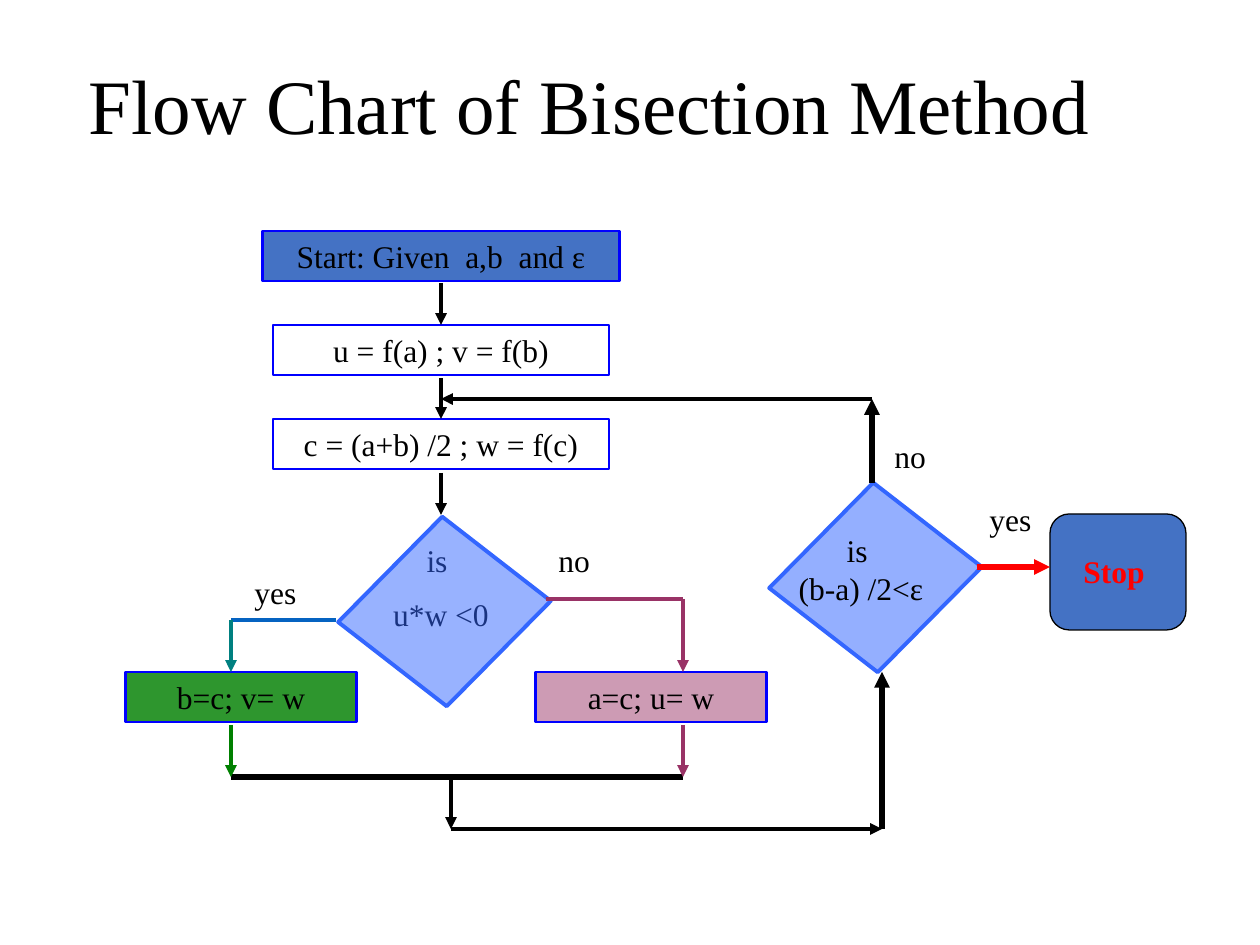
from lxml import etree
from pptx import Presentation
from pptx import util as u
from pptx.dml.color import RGBColor
from pptx.enum import shapes, text
from pptx.oxml.ns import qn

PX = 914400 / 126
FONT = "Times New Roman"
BLACK, BLUE, RED = "000000", "0000FF", "FF0000"
PLUM, SKY, STEEL = "993366", "3366FF", "4472C4"
ROW, PITCH, BOX_H = 231, 94, 50   # first step, distance between steps, box height
MAIN, LEFT, RIGHT = 441, 231, 683  # centre lines of the columns
JOIN_X, JOIN_Y, LOOP_Y, BACK_Y = 451, 777, 829, 399
BRANCH_Y, TEST_X, LOOP_X = 672, 872, 882

TITLE = "Flow Chart of Bisection Method"

# Steps: text, centre x, top, width, fill, opacity %
STEPS = [
    ("Start: Given  a,b  and ε", MAIN, ROW, 357, STEEL, 100),
    (" u = f(a) ; v = f(b) ", MAIN, ROW + PITCH, 336, None, 100),
    ("c = (a+b) /2 ; w = f(c)", MAIN, ROW + 2 * PITCH, 336, None, 100),
    ("b=c; v= w", LEFT + 10, BRANCH_Y, 231, "008000", 82),
    ("a=c; u= w", RIGHT - 32, BRANCH_Y, 231, PLUM, 49),
]

# Decisions: left, top, opacity %
DECISIONS = [(367, 538, 50), (798, 504, 52)]

# Labels: lines, left, top, width, height, alignment, space before, colour, bold
CENTER, START = text.PP_ALIGN.CENTER, text.PP_ALIGN.LEFT
SIGN_TEST = (["is ", "u*w <0"], 378, 535, 126, 107, CENTER, 9, BLACK, False)
LABELS = [
    (["is ", "(b-a) /2<ε"], 777, 525, 168, 88, CENTER, 0, BLACK, False),
    (["yes"], 242, 567, 136, BOX_H, START, 0, BLACK, False),
    (["yes"], 977, 494, 136, BOX_H, START, 0, BLACK, False),
    (["no"], 546, 535, 136, BOX_H, START, 0, BLACK, False),
    (["no"], 882, 431, 136, BOX_H, START, 0, BLACK, False),
    (["Stop"], 1071, 546, 116, BOX_H, START, 0, RED, True),
]

# Lines: start, end, colour, width in points, arrowhead
LINES = [
    ((MAIN, BACK_Y - 21), (MAIN, ROW + 2 * PITCH), BLACK, 2.25, True),
    ((MAIN, ROW + PITCH - 42), (MAIN, ROW + PITCH), BLACK, 2.25, True),
    ((MAIN, 473), (MAIN, 515), BLACK, 2.25, True),
    ((546, 599), (RIGHT, 599), PLUM, 2.25, False),
    ((RIGHT, 599), (RIGHT, BRANCH_Y), PLUM, 2.25, True),
    ((336, 620), (LEFT, 620), "0563C1", 2.25, False),
    ((LEFT, 620), (LEFT, BRANCH_Y), "008080", 2.25, True),
    ((LEFT, JOIN_Y), (RIGHT, JOIN_Y), BLACK, 3, False),
    ((LEFT, 725), (LEFT, JOIN_Y), "008000", 2.25, True),
    ((RIGHT, 725), (RIGHT, JOIN_Y), PLUM, 2.25, True),
    ((JOIN_X, JOIN_Y), (JOIN_X, LOOP_Y), BLACK, 2.25, True),
    ((JOIN_X, LOOP_Y), (LOOP_X, LOOP_Y), BLACK, 2.25, True),
    ((LOOP_X, LOOP_Y), (LOOP_X, BRANCH_Y), BLACK, 3, True),
    ((TEST_X, BACK_Y), (MAIN, BACK_Y), BLACK, 2.25, True),
    ((TEST_X, 483), (TEST_X, BACK_Y), BLACK, 3, True),
    ((977, 567), (1050, 567), RED, 3, True),
]


def px(*lengths):
    return [u.Emu(round(length * PX)) for length in lengths]


def color(value):
    return RGBColor.from_string(value)


def write(box, lines, align, before=0, ink=BLACK, bold=False):
    frame = box.text_frame
    frame.word_wrap = True
    frame.vertical_anchor = text.MSO_ANCHOR.TOP
    frame.text = "\n".join(lines)
    for para in frame.paragraphs:
        para.alignment = align
        para.space_before = u.Pt(before)
        para.font.name, para.font.size = FONT, u.Pt(18)
        para.font.bold = bold
        para.font.color.rgb = color(ink)


def add_box(page, kind, place, fill, opacity, line, width):
    box = page.shapes.add_shape(kind, *px(*place))
    box.shadow.inherit = False
    if fill:
        box.fill.solid()
        box.fill.fore_color.rgb = color(fill)
        if opacity < 100:
            tint = box.fill._xPr.find(qn("a:solidFill"))[0]
            etree.SubElement(tint, qn("a:alpha"), val=str(opacity * 1000))
    else:
        box.fill.background()
    box.line.color.rgb = color(line)
    box.line.width = u.Pt(width)
    return box


def add_decision(page, left, top, opacity):
    box = add_box(page, shapes.MSO_SHAPE.PARALLELOGRAM,
                  (left, top, 155, 147), SKY, opacity, SKY, 2.25)
    box.adjustments[0] = 0.12
    box.rotation = 37.8


def add_label(page, lines, left, top, width, height, *style):
    write(page.shapes.add_textbox(*px(left, top, width, height)), lines, *style)


def add_line(page, start, end, ink, width, arrow):
    line = page.shapes.add_connector(shapes.MSO_CONNECTOR.STRAIGHT, *px(*start, *end))
    line.line.color.rgb = color(ink)
    line.line.width = u.Pt(width)
    if arrow:
        etree.SubElement(line.line._get_or_add_ln(), qn("a:tailEnd"), type="triangle")
    etree.SubElement(line._element.spPr, qn("a:effectLst"))


def main():
    deck = Presentation()
    deck.slide_width, deck.slide_height = px(1260, 945)
    page = deck.slides.add_slide(deck.slide_layouts[5])

    # Title
    title = page.shapes.title
    title.left, title.top, title.width, title.height = px(76, 18, 1086, 183)
    title.text_frame.text = TITLE
    title.text_frame.vertical_anchor = text.MSO_ANCHOR.MIDDLE
    para = title.text_frame.paragraphs[0]
    para.alignment, para.line_spacing = START, 0.9
    para.font.name, para.font.size = FONT, u.Pt(44)
    para.font.color.rgb = color(BLACK)

    # Steps
    for words, center, top, width, fill, opacity in STEPS:
        place = (center - width / 2, top, width, BOX_H)
        box = add_box(page, shapes.MSO_SHAPE.RECTANGLE, place, fill, opacity, BLUE, 1.5)
        write(box, [words], CENTER)

    # Decisions, the first one tinting its own text
    add_label(page, *SIGN_TEST)
    for decision in DECISIONS:
        add_decision(page, *decision)

    # Stop box, lines and labels
    add_box(page, shapes.MSO_SHAPE.ROUNDED_RECTANGLE,
            (1050, 514, 136, 116), STEEL, 100, BLACK, 0.75)
    for line in LINES:
        add_line(page, *line)
    for label in LABELS:
        add_label(page, *label)

    deck.save("out.pptx")


if __name__ == "__main__":
    main()
